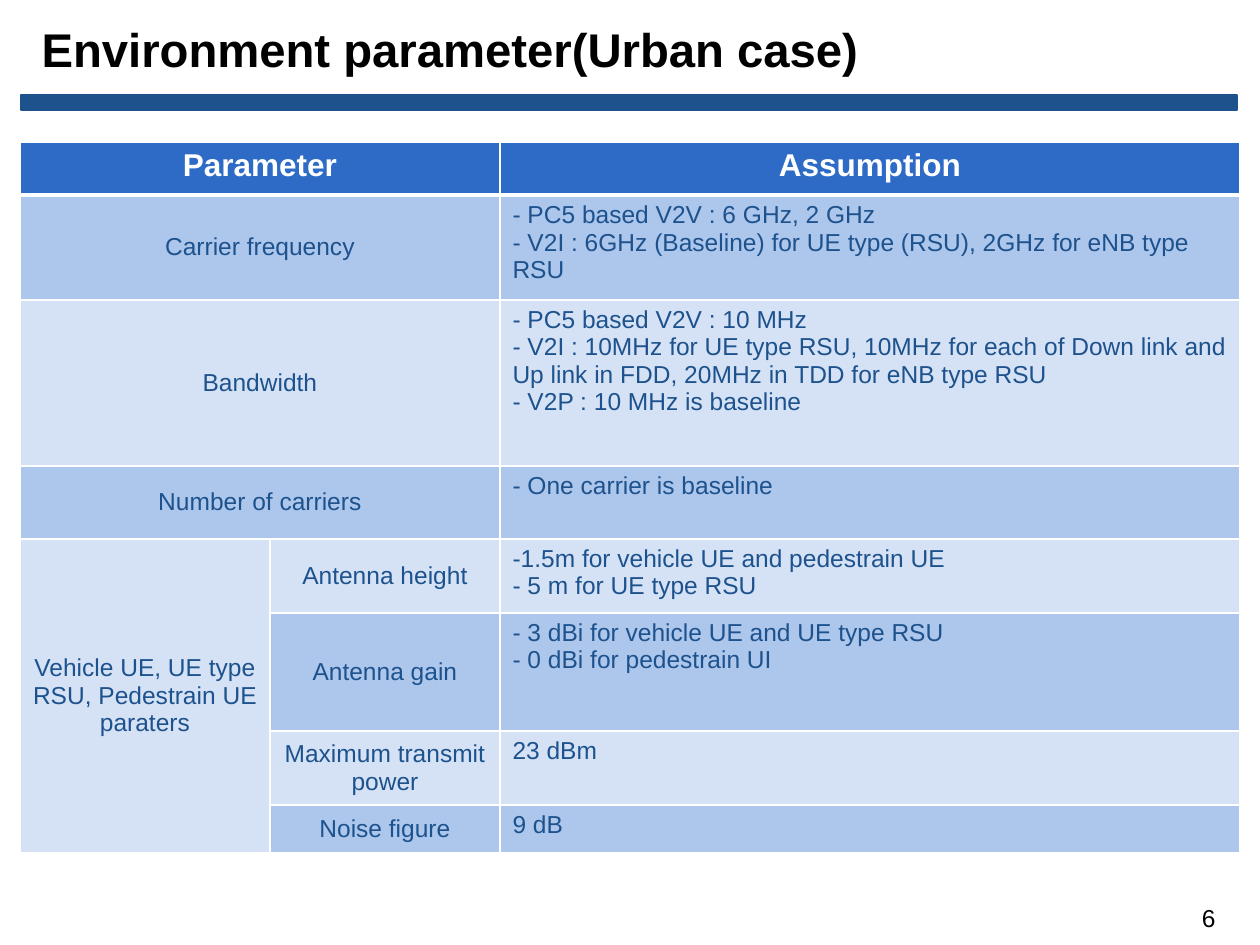
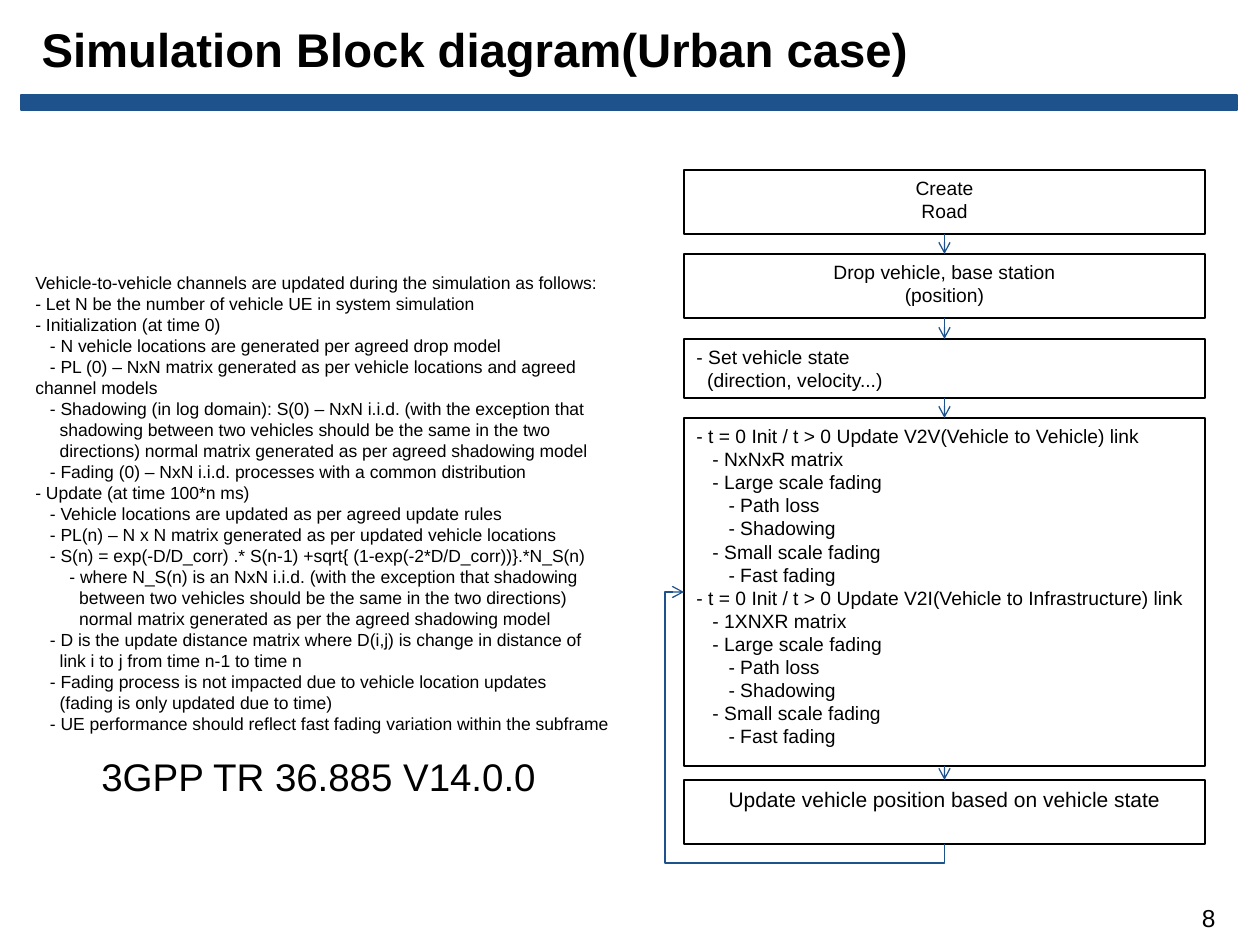
from pptx import Presentation
from pptx import util as u
from pptx.dml import color
from pptx.enum import shapes, text
from pptx.oxml import ns, xmlchemy

SCALE = 914400 / 126
FONT = "Arial"
COLORS = {
    "ink": "000000",
    "navy": "1D528D",
    "header": "2D6BC7",
    "band": "ACC6EC",
    "pale": "D5E2F6",
    "white": "FFFFFF",
}
SPACE_WIDTH = 0.278
LINE_PITCH = {10: 12, 11: 13.2, 14: 15.7}
CENTER = text.PP_ALIGN.CENTER
RIGHT = text.PP_ALIGN.RIGHT
MIDDLE = text.MSO_ANCHOR.MIDDLE
TOP = text.MSO_ANCHOR.TOP

COLUMN_WIDTHS = [250, 230, 740]
ROW_HEIGHTS = [53, 105, 166, 73, 74, 118, 74, 48]
PARAMETERS = [
    ("Parameter", "", ["Assumption"]),
    ("Carrier frequency", "", [
        "- PC5 based V2V : 6 GHz, 2 GHz",
        "- V2I : 6GHz (Baseline) for UE type (RSU), 2GHz for eNB type RSU"]),
    ("Bandwidth", "", [
        "- PC5 based V2V : 10 MHz",
        "- V2I : 10MHz for UE type RSU, 10MHz for each of Down link and "
        "Up link in FDD, 20MHz in TDD for eNB type RSU",
        "- V2P : 10 MHz is baseline"]),
    ("Number of carriers", "", ["- One carrier is baseline"]),
    ("Vehicle UE, UE type RSU, Pedestrain UE paraters", "Antenna height", [
        "-1.5m for vehicle UE and pedestrain UE",
        "- 5 m for UE type RSU"]),
    ("", "Antenna gain", [
        "- 3 dBi for vehicle UE and UE type RSU",
        "- 0 dBi for pedestrain UI"]),
    ("", "Maximum transmit power", ["23 dBm"]),
    ("", "Noise figure", ["9 dB"]),
]

CHANNEL_RULES = [
    (0, "Vehicle-to-vehicle channels are updated during the simulation as follows:"),
    (0, "- Let N be the number of vehicle UE in system simulation"),
    (0, "- Initialization (at time 0)"),
    (3, "- N vehicle locations are generated per agreed drop model"),
    (3, "- PL (0) – NxN matrix generated as per vehicle locations and agreed channel models"),
    (3, "- Shadowing (in log domain): S(0) – NxN i.i.d. (with the exception that"),
    (5, "shadowing between two vehicles should be the same in the two"),
    (5, "directions) normal matrix generated as per agreed shadowing model"),
    (3, "- Fading (0) – NxN i.i.d. processes with a common distribution"),
    (0, "- Update (at time 100*n ms)"),
    (3, "- Vehicle locations are updated as per agreed update rules"),
    (3, "- PL(n) – N x N matrix generated as per updated vehicle locations"),
    (3, "- S(n) = exp(-D/D_corr) .* S(n-1) +sqrt{ (1-exp(-2*D/D_corr))}.*N_S(n)"),
    (7, "- where N_S(n) is an NxN i.i.d. (with the exception that shadowing"),
    (9, "between two vehicles should be the same in the two directions)"),
    (9, "normal matrix generated as per the agreed shadowing model"),
    (3, "- D is the update distance matrix where D(i,j) is change in distance of"),
    (5, "link i to j from time n-1 to time n"),
    (3, "- Fading process is not impacted due to vehicle location updates"),
    (5, "(fading is only updated due to time)"),
    (3, "- UE performance should reflect fast fading variation within the subframe"),
]

FADING = [
    (3, "- Large scale fading"),
    (6, "- Path loss"),
    (6, "- Shadowing"),
    (3, "- Small scale fading"),
    (6, "- Fast fading"),
]
LINK_UPDATES = [
    "- t = 0 Init / t > 0 Update V2V(Vehicle to Vehicle) link",
    (3, "- NxNxR matrix"), *FADING,
    "- t = 0 Init / t > 0 Update V2I(Vehicle to Infrastructure) link",
    (3, "- 1XNXR matrix"), *FADING,
]
FLOW_LEFT, FLOW_WIDTH = 684, 521
FLOW_STEPS = [
    (170, 64, ["Create", "Road"], 11, CENTER),
    (254, 64, ["Drop vehicle, base station", "(position)"], 11, CENTER),
    (339, 59, ["- Set vehicle state", (2, "(direction, velocity...)")], 11, None),
    (418, 348, LINK_UPDATES, 11, None),
    (780, 64, ["Update vehicle position based on vehicle state"], 12, CENTER),
]
LOOP_MARGIN = 19


def px(*lengths):
    return [u.Emu(round(length * SCALE)) for length in lengths]


def rgb(name):
    return color.RGBColor.from_string(COLORS[name])


def write(frame, lines, size=14, ink="ink", bold=False, align=None, anchor=TOP):
    frame.word_wrap = True
    frame.vertical_anchor = anchor
    for index, line in enumerate(lines):
        indent, words = line if isinstance(line, tuple) else (0, line)
        paragraph = frame.add_paragraph() if index else frame.paragraphs[0]
        run = paragraph.add_run()
        run.text = words
        run.font.name, run.font.size, run.font.bold = FONT, u.Pt(size), bold
        run.font.color.rgb = rgb(ink)
        paragraph.alignment = align
        if indent:
            first_line = u.Pt(indent * size * SPACE_WIDTH)
            paragraph._p.get_or_add_pPr().set("indent", str(int(first_line)))
        if size in LINE_PITCH:
            paragraph.line_spacing = u.Pt(LINE_PITCH[size])


def add_label(slide, box, lines, **fmt):
    label = slide.shapes.add_textbox(*px(*box))
    write(label.text_frame, lines, **fmt)


def add_box(slide, box, fill, outline, weight):
    shape = slide.shapes.add_shape(shapes.MSO_SHAPE.RECTANGLE, *px(*box))
    shape.shadow.inherit = False
    if fill:
        shape.fill.solid()
        shape.fill.fore_color.rgb = rgb(fill)
    else:
        shape.fill.background()
    shape.line.color.rgb = rgb(outline)
    shape.line.width = u.Pt(weight)
    return shape


def add_titled_slide(deck, heading, number):
    slide = deck.slides.add_slide(deck.slide_layouts[5])
    add_box(slide, (21, 95, 1216, 15), "navy", "navy", 0.75)
    title = slide.shapes.title
    title.left, title.top, title.width, title.height = px(29, 1, 1197, 95)
    title.text_frame.auto_size = text.MSO_AUTO_SIZE.NONE
    write(title.text_frame, [heading], size=27, bold=True,
          align=text.PP_ALIGN.LEFT, anchor=MIDDLE)
    add_label(slide, (1165, 899, 63, 34), [number], align=RIGHT)
    return slide


def style_arrow(arrow):
    arrow.line.color.rgb = rgb("navy")
    arrow.line.width = u.Pt(0.75)
    head = xmlchemy.OxmlElement("a:tailEnd")
    head.set("type", "arrow")
    arrow.line._get_or_add_ln().append(head)
    arrow._element.spPr.append(xmlchemy.OxmlElement("a:effectLst"))


def add_step_arrow(slide, step, following):
    arrow = slide.shapes.add_connector(shapes.MSO_CONNECTOR.STRAIGHT, 0, 0, 0, 0)
    arrow.begin_connect(step, 2)
    arrow.end_connect(following, 0)
    style_arrow(arrow)


def add_loop_arrow(slide, start, end):
    across, rise = start[0] - end[0], start[1] - end[1]
    left = (start[0] + end[0] - rise) / 2
    top = (start[1] + end[1] - across) / 2
    loop = slide.shapes.add_connector(
        shapes.MSO_CONNECTOR.ELBOW, *px(left, top, left + rise, top + across))
    frame = loop._element.spPr.find(ns.qn("a:xfrm"))
    frame.set("rot", "5400000")
    frame.set("flipH", "1")
    outline = loop._element.spPr.find(ns.qn("a:prstGeom"))
    outline.set("prst", "bentConnector4")
    bends = outline.find(ns.qn("a:avLst"))
    if bends is None:
        bends = xmlchemy.OxmlElement("a:avLst")
        outline.append(bends)
    ratios = (-LOOP_MARGIN / rise, 1 + LOOP_MARGIN / across)
    for index, ratio in enumerate(ratios, 1):
        bend = xmlchemy.OxmlElement("a:gd")
        bend.set("name", f"adj{index}")
        bend.set("fmla", f"val {round(ratio * 100000)}")
        bends.append(bend)
    style_arrow(loop)


def style_cell(cell, fill, bottom):
    properties = cell._tc.get_or_add_tcPr()
    for side, weight in (("L", 1), ("R", 1), ("T", 1), ("B", bottom)):
        border = xmlchemy.OxmlElement(f"a:ln{side}")
        border.set("w", str(int(u.Pt(weight))))
        paint = xmlchemy.OxmlElement("a:solidFill")
        tint = xmlchemy.OxmlElement("a:srgbClr")
        tint.set("val", COLORS["white"])
        paint.append(tint)
        border.append(paint)
        properties.append(border)
    cell.fill.solid()
    cell.fill.fore_color.rgb = rgb(fill)


def write_cell(cell, lines, **fmt):
    anchor = fmt.pop("anchor", TOP)
    write(cell.text_frame, lines, **fmt)
    cell.vertical_anchor = anchor


def add_parameter_table(slide):
    box = (20, 142, sum(COLUMN_WIDTHS), sum(ROW_HEIGHTS))
    table = slide.shapes.add_table(len(ROW_HEIGHTS), len(COLUMN_WIDTHS), *px(*box)).table
    for column, width in zip(table.columns, px(*COLUMN_WIDTHS)):
        column.width = width
    for row, height in zip(table.rows, px(*ROW_HEIGHTS)):
        row.height = height
    for row in range(4):
        table.cell(row, 0).merge(table.cell(row, 1))
    table.cell(4, 0).merge(table.cell(7, 0))

    for row, (group, parameter, assumption) in enumerate(PARAMETERS):
        is_header = row == 0
        fill = "header" if is_header else ("pale", "band")[row % 2]
        for column in range(3):
            style_cell(table.cell(row, column), fill, 3 if is_header else 1)
        if is_header:
            fmt = dict(size=18, ink="white", bold=True, align=CENTER)
            name_fmt = fmt
        else:
            fmt = dict(ink="navy")
            name_fmt = dict(ink="navy", align=CENTER, anchor=MIDDLE)
        for column, name in enumerate((group, parameter)):
            if name:
                write_cell(table.cell(row, column), [name], **name_fmt)
        write_cell(table.cell(row, 2), assumption, **fmt)


def add_flow(slide):
    steps = []
    for top, height, lines, size, align in FLOW_STEPS:
        step = add_box(slide, (FLOW_LEFT, top, FLOW_WIDTH, height), None, "ink", 1)
        write(step.text_frame, lines, size=size, align=align or text.PP_ALIGN.LEFT)
        steps.append(step)
    for step, following in zip(steps, steps[1:]):
        add_step_arrow(slide, step, following)
    link_top, link_height = FLOW_STEPS[3][:2]
    last_top, last_height = FLOW_STEPS[4][:2]
    add_loop_arrow(slide, (FLOW_LEFT + FLOW_WIDTH / 2, last_top + last_height),
                   (FLOW_LEFT, link_top + link_height / 2))


def main():
    deck = Presentation()
    deck.slide_width, deck.slide_height = px(1260, 945)

    parameters = add_titled_slide(deck, "Environment parameter(Urban case)", "6")
    add_parameter_table(parameters)

    diagram = add_titled_slide(deck, "Simulation Block diagram(Urban case)", "8")
    add_flow(diagram)
    add_label(diagram, (23, 266, 607, 474), CHANNEL_RULES, size=10)
    add_label(diagram, (89, 747, 525, 58), ["3GPP TR 36.885 V14.0.0"], size=22)

    deck.save("out.pptx")


if __name__ == "__main__":
    main()
